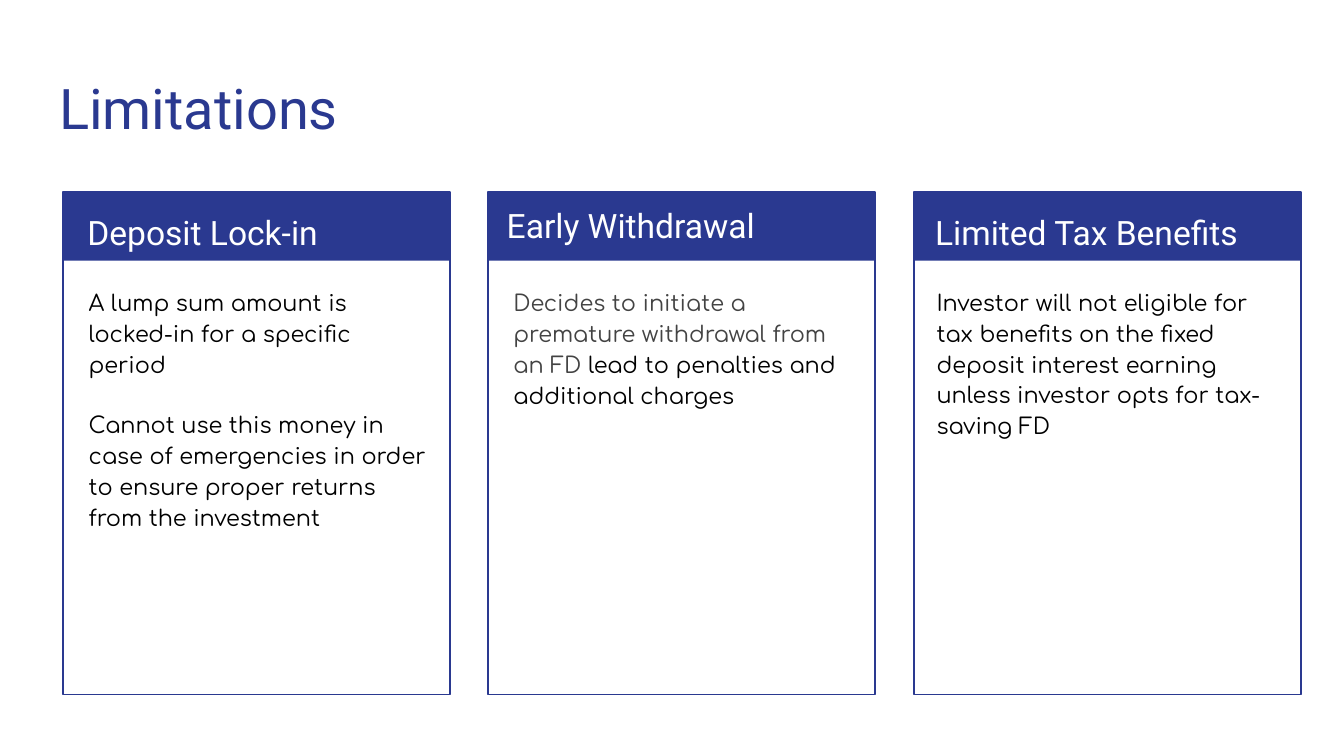
from pptx import Presentation
from pptx.dml.color import RGBColor
from pptx.enum.shapes import MSO_SHAPE
from pptx.enum.text import MSO_ANCHOR, MSO_AUTO_SIZE, PP_ALIGN
from pptx.util import Inches, Pt
from lxml.etree import SubElement
from pptx.oxml.ns import qn

COLORS = {"blue": "2A3990", "white": "FFFFFF", "black": "000000", "gray": "434343"}

# Each card: left edge, heading position, body left, heading, body paragraphs as runs
CARDS = [
    (0.47, (0.55, 1.43), 0.56, "Deposit Lock-in", [
        [("A lump sum amount is locked-in for a specific period", "black")],
        [("Cannot use this money in case of emergencies in order to ensure "
          "proper returns from the investment", "black")],
    ]),
    (3.63, (3.67, 1.38), 3.72, "Early Withdrawal", [
        [("Decides to initiate a premature withdrawal from an FD", "gray"),
         (" lead to penalties and additional charges", "black")],
    ]),
    (6.8, (6.86, 1.43), 6.87, "Limited Tax Benefits", [
        [("Investor will not eligible for tax benefits on the fixed deposit "
          "interest earning unless investor opts for tax-saving FD", "black")],
    ]),
]
CARD_TOP, CARD_WIDTH = 1.43, 2.88


def write_text(shape, box, paragraphs, font_name, size, line_spacing=1.15):
    """Place a text shape and fill it with unbulleted, left-aligned paragraphs."""
    shape.left, shape.top, shape.width, shape.height = [Inches(value) for value in box]
    frame = shape.text_frame
    frame.word_wrap = True
    frame.auto_size = MSO_AUTO_SIZE.NONE
    frame.vertical_anchor = MSO_ANCHOR.TOP
    frame.margin_left = frame.margin_right = Inches(0.1)
    frame.margin_top = frame.margin_bottom = Inches(0.1)
    for index, runs in enumerate(paragraphs):
        paragraph = frame.add_paragraph() if index else frame.paragraphs[0]
        paragraph.alignment = PP_ALIGN.LEFT
        paragraph.line_spacing = line_spacing
        paragraph.space_before = Pt(16 if index else 0)
        properties = paragraph._p.get_or_add_pPr()
        properties.set("marL", "0")
        properties.set("indent", "0")
        SubElement(properties, qn("a:buNone"))
        for text, color in runs:
            run = paragraph.add_run()
            run.text = text
            run.font.name = font_name
            run.font.size = Pt(size)
            run.font.bold = False
            run.font.color.rgb = RGBColor.from_string(COLORS[color])


def add_rectangle(group, left, height):
    """Add a card rectangle without shadow, fill or line."""
    rectangle = group.shapes.add_shape(
        MSO_SHAPE.RECTANGLE, Inches(left), Inches(CARD_TOP),
        Inches(CARD_WIDTH), Inches(height))
    rectangle.shadow.inherit = False
    rectangle.fill.background()
    rectangle.line.fill.background()
    return rectangle


# Widescreen slide, 16 to 9
presentation = Presentation()
presentation.slide_width = Inches(10)
presentation.slide_height = Inches(10 * 9 / 16)

# The Comparison layout has a title and four body placeholders
slide = presentation.slides.add_slide(presentation.slide_layouts[4])
body_placeholders = [shape for shape in slide.placeholders
                     if shape.placeholder_format.idx in (1, 2, 3, 4)]

# Title
write_text(slide.shapes.title, (0.34, 0.45, 9.32, 0.66),
           [[("Limitations", "blue")]], "Roboto", 30, 1.0)

# Cards
for left, (heading_left, heading_top), body_left, heading, body in CARDS:
    group = slide.shapes.add_group_shape()
    header = add_rectangle(group, left, 0.51)
    header.fill.solid()
    header.fill.fore_color.rgb = RGBColor.from_string(COLORS["blue"])
    outline = add_rectangle(group, left, 3.74)
    outline.line.color.rgb = RGBColor.from_string(COLORS["blue"])
    outline.line.width = Pt(0.75)

    # Heading and body text, in placeholders while they last, in front of the card
    for box, paragraphs, font_name, size in (
        ((heading_left, heading_top, 2.73, 0.5), [[(heading, "white")]], "Roboto", 18),
        ((body_left, 2.02, 2.71, 3.06), body, "Comfortaa", 12),
    ):
        if body_placeholders:
            text_shape = body_placeholders.pop(0)
            slide.shapes._spTree.append(text_shape._element)
        else:
            text_shape = slide.shapes.add_textbox(0, 0, 0, 0)
        write_text(text_shape, box, paragraphs, font_name, size)

# Unused placeholders
for placeholder in list(slide.placeholders):
    if not placeholder.text_frame.text:
        placeholder._element.getparent().remove(placeholder._element)

presentation.save("out.pptx")
